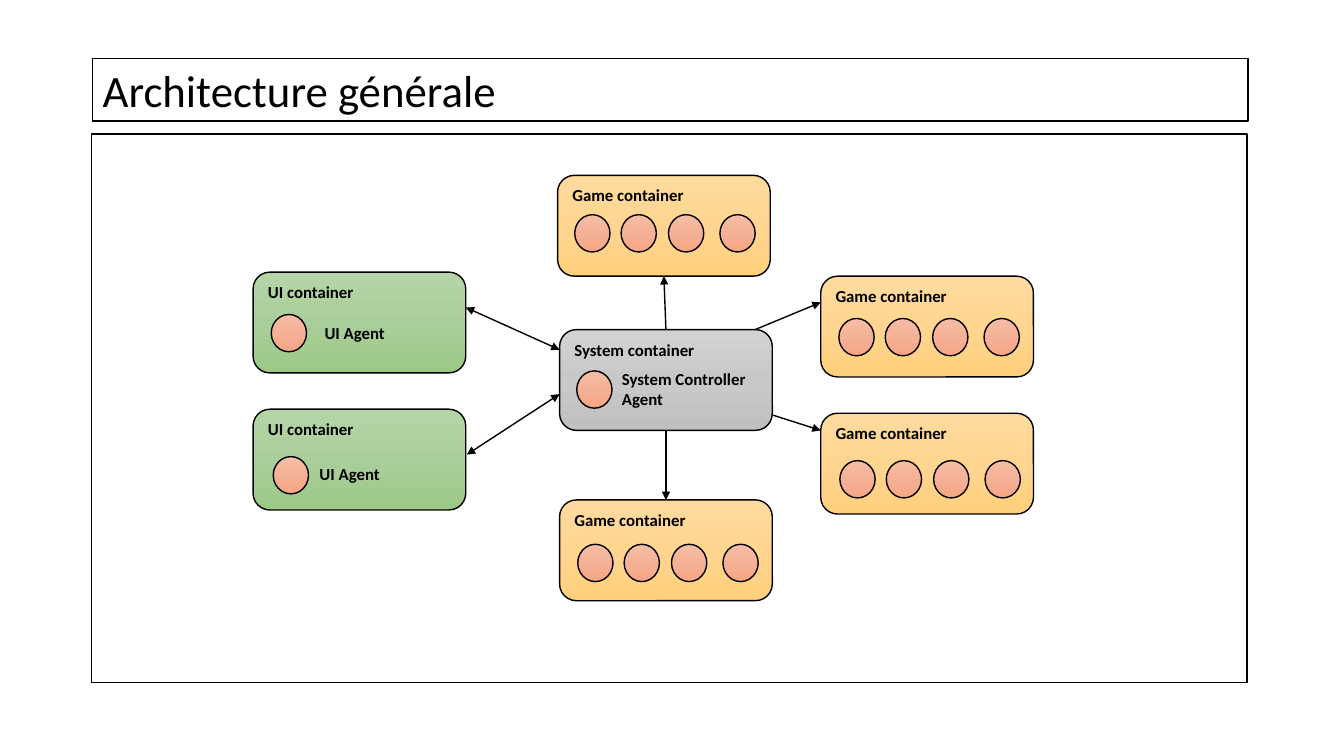
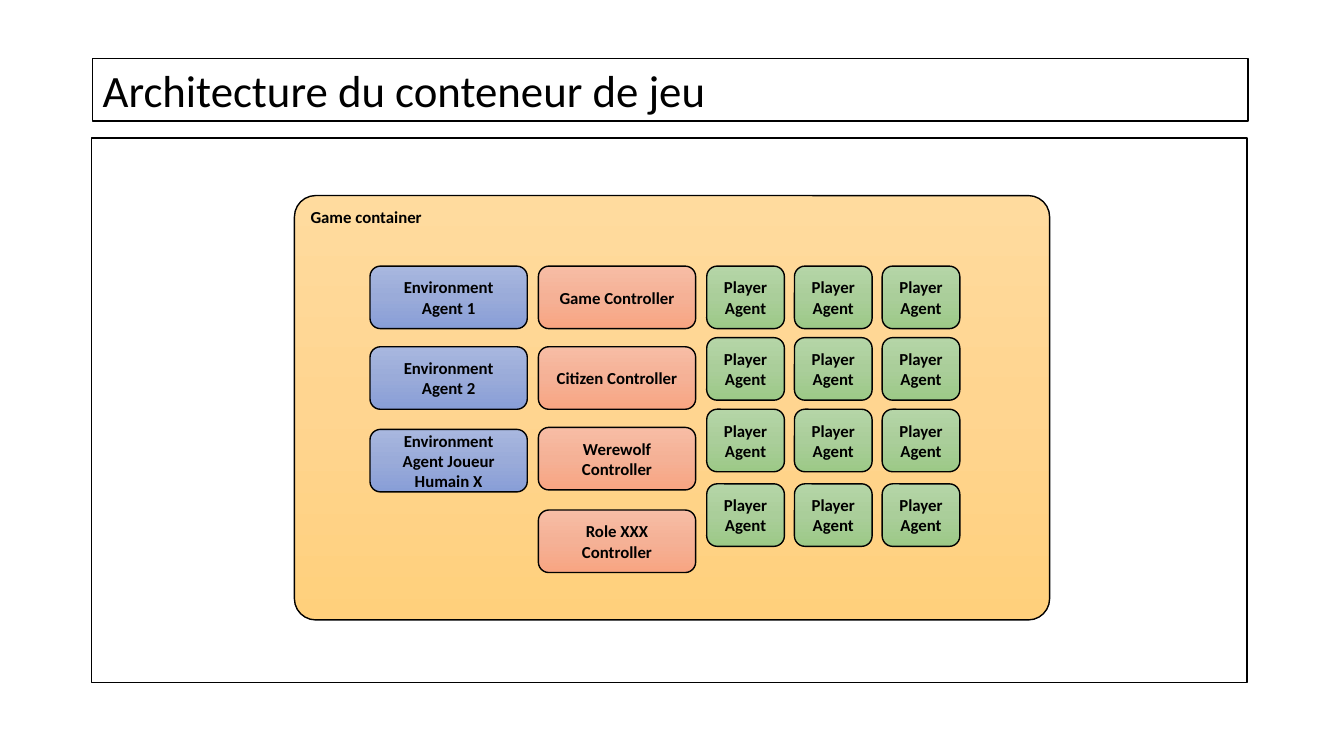
"""Builds two architecture slides for a multi-agent game."""
import copy
import dataclasses

import pptx
import pptx.dml.color
import pptx.enum.shapes
import pptx.enum.text
import pptx.oxml
import pptx.oxml.ns
import pptx.util

Inches = pptx.util.Inches
Shapes = pptx.enum.shapes.MSO_SHAPE
Anchor = pptx.enum.text.MSO_ANCHOR
Align = pptx.enum.text.PP_ALIGN
qn = pptx.oxml.ns.qn


@dataclasses.dataclass(frozen=True)
class Theme:
    font: str = "Calibri"
    ink: str = "000000"
    paper: str = "FFFFFF"
    paper_alpha: int = 48
    title_size: int = 32
    label_size: int = 12
    line_width: int = 1
    yellow: tuple = ("FFDB9E", "FFD590", "FFD07C")
    gray: tuple = ("D2D2D2", "C8C8C8", "C0C0C0")
    salmon: tuple = ("F7BDA5", "F5B196", "F8A582")
    green: tuple = ("B5D5A7", "AACE9A", "9CC987")
    blue: tuple = ("A8B7DF", "9AABD9", "889ED7")


THEME = Theme()
CONTAINER_SIZE = (2.11, 1)
AGENT_SIZE = (0.35, 0.37)
AGENT_OFFSETS = (0, 0.46, 0.93, 1.44)


def rgb(value):
    return pptx.dml.color.RGBColor.from_string(value)


def write(shape, text, size=THEME.label_size, bold=True, align=Align.LEFT,
          anchor=Anchor.TOP):
    frame = shape.text_frame
    frame.word_wrap = True
    frame.vertical_anchor = anchor
    para = frame.paragraphs[0]
    para.alignment = align
    span = para.add_run()
    span.text = text
    span.font.name = THEME.font
    span.font.size = pptx.util.Pt(size)
    span.font.bold = bold
    span.font.color.rgb = rgb(THEME.ink)


class Slides:
    def __init__(self):
        self.deck = pptx.Presentation()
        self.deck.slide_width = Inches(13.33)
        self.deck.slide_height = Inches(7.5)
        self.page = None

    def start(self, title, frame_top):
        self.page = self.deck.slides.add_slide(self.deck.slide_layouts[6])
        self.panel(0.91, frame_top, 11.46, 6.77 - frame_top)
        banner = self.panel(0.92, 0.58, 11.46, 0.62)
        write(banner, title, size=THEME.title_size, bold=False,
              anchor=Anchor.MIDDLE)

    def shape(self, kind, left, top, width, height):
        shape = self.page.shapes.add_shape(
            kind, Inches(left), Inches(top), Inches(width), Inches(height))
        shape.shadow.inherit = False
        self.outline(shape)
        return shape

    def outline(self, shape):
        shape.line.color.rgb = rgb(THEME.ink)
        shape.line.width = pptx.util.Pt(THEME.line_width)

    def panel(self, left, top, width, height):
        panel = self.shape(Shapes.RECTANGLE, left, top, width, height)
        panel.fill.solid()
        panel.fill.fore_color.rgb = rgb(THEME.paper)
        color = panel.element.spPr.find(qn("a:solidFill")).find(qn("a:srgbClr"))
        alpha = color.makeelement(qn("a:alpha"),
                                  {"val": str(THEME.paper_alpha * 1000)})
        color.append(alpha)
        return panel

    def shade(self, shape, colors):
        shape.fill.gradient()
        shape.fill.gradient_angle = 270
        stops = shape.element.spPr.find(".//" + qn("a:gsLst"))
        stops.insert(1, copy.deepcopy(stops[0]))
        for stop, color, position in zip(shape.fill.gradient_stops, colors,
                                         (0, 0.5, 1)):
            stop.color.rgb = rgb(color)
            stop.position = position

    def box(self, text, colors, left, top, width, height, corner=None,
            **text_format):
        box = self.shape(Shapes.ROUNDED_RECTANGLE, left, top, width, height)
        if corner is not None:
            box.adjustments[0] = corner
        self.shade(box, colors)
        write(box, text, **text_format)
        return box

    def container(self, text, colors, left, top):
        return self.box(text, colors, left, top, *CONTAINER_SIZE)

    def agent(self, left, top):
        self.shade(self.shape(Shapes.OVAL, left, top, *AGENT_SIZE),
                   THEME.salmon)

    def game_container(self, left, top, agent_left, agent_top):
        box = self.container("Game container", THEME.yellow, left, top)
        for offset in AGENT_OFFSETS:
            self.agent(agent_left + offset, agent_top)
        return box

    def role(self, text, colors, left, top, width):
        self.box(text, colors, left, top, width, 0.62,
                 align=Align.CENTER, anchor=Anchor.MIDDLE)

    def label(self, text, left, top, width, height):
        label = self.page.shapes.add_textbox(
            Inches(left), Inches(top), Inches(width), Inches(height))
        write(label, text)
        label.text_frame.auto_size = (
            pptx.enum.text.MSO_AUTO_SIZE.SHAPE_TO_FIT_TEXT)

    def arrow(self, start=(0, 0), end=(0, 0), both=False):
        arrow = self.page.shapes.add_connector(
            pptx.enum.shapes.MSO_CONNECTOR.STRAIGHT,
            *(Inches(value) for value in (*start, *end)))
        self.outline(arrow)
        line = arrow.line._get_or_add_ln()
        for tag in ("a:headEnd", "a:tailEnd") if both else ("a:tailEnd",):
            line.append(line.makeelement(qn(tag), {"type": "triangle"}))
        properties = arrow.element.spPr
        properties.append(properties.makeelement(qn("a:effectLst"), {}))
        return arrow

    def joined_arrow(self, source, source_side, target, target_side):
        arrow = self.arrow()
        arrow.begin_connect(source, source_side)
        arrow.end_connect(target, target_side)


def general_architecture(slides):
    slides.start("Architecture générale", 1.33)

    system = slides.container("System container", THEME.gray, 5.55, 3.27)
    slides.agent(5.72, 3.68)
    slides.label("System Controller Agent", 6.07, 3.61, 1.59, 0.5)

    upper_game = slides.game_container(5.53, 1.74, 5.7, 2.13)
    lower_game = slides.game_container(5.55, 4.96, 5.73, 5.4)
    slides.game_container(8.14, 2.74, 8.32, 3.16)
    slides.game_container(8.14, 4.1, 8.33, 4.57)

    for top, agent, label in ((2.7, (2.69, 3.12), (3.12, 3.15)),
                              (4.06, (2.71, 4.53), (3.07, 4.55))):
        slides.container("UI container", THEME.green, 2.51, top)
        slides.agent(*agent)
        slides.label("UI Agent", *label, 1.41, 0.3)

    slides.joined_arrow(system, 0, upper_game, 2)
    slides.joined_arrow(system, 2, lower_game, 0)
    slides.arrow((7.49, 3.27), (8.14, 3))
    slides.arrow((7.67, 4.12), (8.14, 4.27))
    slides.arrow((5.55, 3.47), (4.62, 3.05), both=True)
    slides.arrow((5.55, 3.91), (4.63, 4.51), both=True)


def game_architecture(slides):
    slides.start("Architecture du conteneur de jeu", 1.37)
    slides.box("Game container", THEME.yellow, 2.92, 1.94, 7.49, 4.21,
               corner=0.05)

    environments = (("Environment Agent 1", 2.64),
                    ("Environment Agent 2", 3.44),
                    ("Environment Agent Joueur Humain X", 4.26))
    controllers = (("Game Controller", 2.64),
                   ("Citizen Controller", 3.44),
                   ("Werewolf Controller", 4.24),
                   ("Role XXX Controller", 5.06))
    for left, colors, roles in ((3.67, THEME.blue, environments),
                                (5.34, THEME.salmon, controllers)):
        for text, top in roles:
            slides.role(text, colors, left, top, 1.56)

    for top in (2.64, 3.35, 4.06, 4.8):
        for column in range(3):
            slides.role("Player Agent", THEME.green, 7.01 + 0.87 * column,
                        top, 0.77)


def main():
    slides = Slides()
    general_architecture(slides)
    game_architecture(slides)
    slides.deck.save("out.pptx")


if __name__ == "__main__":
    main()
